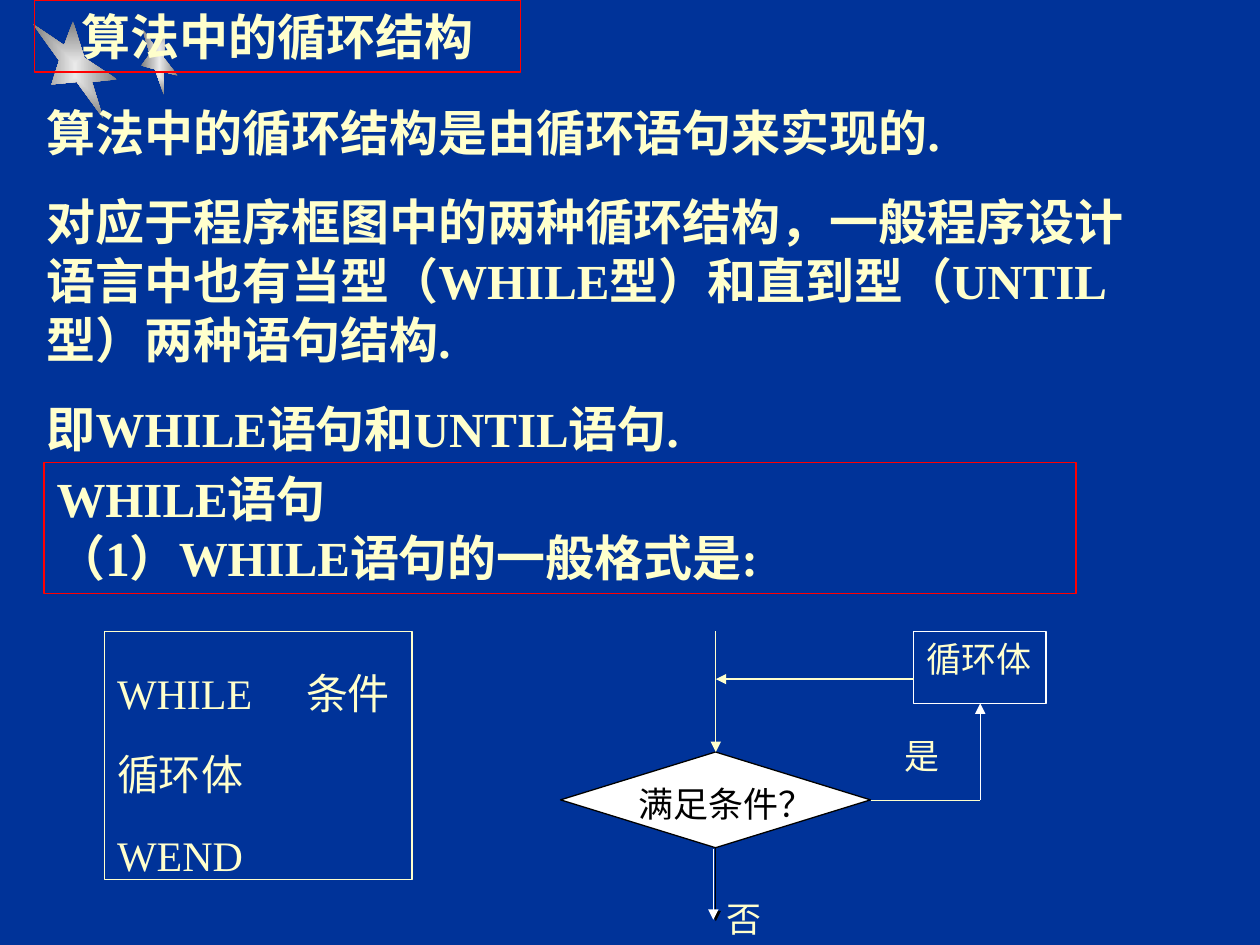
"""Build the slide on loop structures and the WHILE statement."""
from dataclasses import dataclass

import pptx
import pptx.dml.color
import pptx.enum.shapes
import pptx.enum.text
import pptx.oxml
import pptx.oxml.ns
import pptx.util
from pptx.util import Cm

RGBColor = pptx.dml.color.RGBColor
Align = pptx.enum.text.PP_ALIGN
Preset = pptx.enum.shapes.MSO_SHAPE

NAVY = RGBColor(0x00, 0x33, 0x99)
CREAM = RGBColor(0xFF, 0xFF, 0xCC)
RED = RGBColor(0xFF, 0x00, 0x00)
WHITE = RGBColor(0xFF, 0xFF, 0xFF)
BLACK = RGBColor(0x00, 0x00, 0x00)
STAR_LIGHT = RGBColor(0xEA, 0xEA, 0xEA)
STAR_DARK = RGBColor(0x80, 0x80, 0x80)
FONT = "Times New Roman"
STAR_UNIT = Cm(0.0254)
DRAWING_NS = 'xmlns:a="http://schemas.openxmlformats.org/drawingml/2006/main"'

FLOW_TOP = 12.73
FLOW_X = 14.43
DIAMOND_TOP, DIAMOND_BOTTOM = 15.16, 17.09
DIAMOND_MIDDLE, DIAMOND_RIGHT = 16.13, 17.55
LOOP_LEFT, LOOP_MIDDLE, LOOP_BOTTOM = 18.42, 19.76, 14.18
RETURN_Y = 13.69


@dataclass(frozen=True)
class Area:
    left: float
    top: float
    width: float
    height: float

    def lengths(self) -> tuple:
        return Cm(self.left), Cm(self.top), Cm(self.width), Cm(self.height)


@dataclass(frozen=True)
class Style:
    size: int
    color: RGBColor = CREAM
    bold: bool = False
    align: Align = Align.LEFT
    line_spacing: float = 1.0
    gap: float = 0


@dataclass(frozen=True)
class Label:
    area: Area
    text: str
    style: Style


@dataclass(frozen=True)
class Box(Label):
    border: RGBColor


@dataclass(frozen=True)
class Flow:
    start: tuple[float, float]
    end: tuple[float, float]
    color: RGBColor = CREAM
    arrow: bool = True


HEADING = Style(28, bold=True)
SMALL = Style(20, align=Align.JUSTIFY)

STARS = [
    [(130, 75), (123, 55), (112, 52), (119, 43), (113, 23),
     (123, 37), (131, 28), (130, 46), (141, 60), (130, 57)],
    [(82, 94), (61, 65), (41, 67), (47, 48), (26, 19),
     (51, 36), (58, 17), (67, 46), (93, 63), (73, 65)],
]
BOXES = [
    Box(Area(0.89, 9.32, 20.8, 2.64), "WHILE语句\n（1）WHILE语句的一般格式是:", HEADING, RED),
    Box(Area(2.11, FLOW_TOP, 6.2, 5), "WHILE\t条件\n循环体\nWEND",
        Style(24, align=Align.JUSTIFY, line_spacing=1.6), CREAM),
    Box(Area(LOOP_LEFT, FLOW_TOP, 2.67, 1.45), "循环体", SMALL, WHITE),
]
LABELS = [
    Label(Area(12.62, 15.65, 4.55, 1.12), "满足条件？", Style(20, BLACK, align=Align.JUSTIFY)),
    Label(Area(14.4, 17.96, 1.78, 1.09), "否", SMALL),
    Label(Area(17.98, 14.68, 1.78, 1.12), "是", SMALL),
]
FLOWS = [
    Flow((FLOW_X, FLOW_TOP), (FLOW_X, DIAMOND_TOP)),
    Flow((FLOW_X, DIAMOND_BOTTOM), (FLOW_X, 18.57), BLACK),
    Flow((DIAMOND_RIGHT, DIAMOND_MIDDLE), (LOOP_MIDDLE, DIAMOND_MIDDLE), arrow=False),
    Flow((LOOP_MIDDLE, DIAMOND_MIDDLE), (LOOP_MIDDLE, LOOP_BOTTOM), WHITE),
    Flow((LOOP_LEFT, RETURN_Y), (FLOW_X, RETURN_Y)),
    Flow((14.38, 17.12), (14.38, 18.54), WHITE),
]


def write(shape, text: str, style: Style) -> None:
    frame = shape.text_frame
    frame.text = text
    frame.word_wrap = True
    frame.auto_size = pptx.enum.text.MSO_AUTO_SIZE.NONE
    frame.vertical_anchor = pptx.enum.text.MSO_ANCHOR.TOP
    for index, paragraph in enumerate(frame.paragraphs):
        properties = paragraph._p.get_or_add_pPr()
        properties.set("marL", "0")
        properties.set("indent", "0")
        properties.append(pptx.oxml.parse_xml(f"<a:buNone {DRAWING_NS}/>"))
        if "\t" in paragraph.text:
            properties.append(pptx.oxml.parse_xml(
                f'<a:tabLst {DRAWING_NS}><a:tab pos="{Cm(3.33)}" algn="l"/></a:tabLst>'))
        paragraph.alignment = style.align
        paragraph.line_spacing = style.line_spacing
        paragraph.space_before = pptx.util.Pt(style.gap if index else 0)
        for run in paragraph.runs:
            run.font.name = FONT
            run.font.size = pptx.util.Pt(style.size)
            run.font.bold = style.bold
            run.font.color.rgb = style.color


def outline(shape, color: RGBColor) -> None:
    shape.line.color.rgb = color
    shape.line.width = pptx.util.Pt(0.75)


def place(placeholder, label: Label) -> None:
    (placeholder.left, placeholder.top,
     placeholder.width, placeholder.height) = label.area.lengths()
    write(placeholder, label.text, label.style)


def draw_star(slide, points: list[tuple[int, int]]) -> None:
    builder = slide.shapes.build_freeform(*points[0], scale=STAR_UNIT)
    builder.add_line_segments(points[1:], close=True)
    star = builder.convert_to_shape()
    star.shadow.inherit = False
    star.line.fill.background()
    star.fill.gradient()
    for stop, color in zip(star.fill.gradient_stops, (STAR_LIGHT, STAR_DARK)):
        stop.color.rgb = color
    linear = star._element.spPr.find(".//" + pptx.oxml.ns.qn("a:lin"))
    linear.getparent().replace(linear, pptx.oxml.parse_xml(
        f'<a:path {DRAWING_NS} path="rect">'
        '<a:fillToRect l="50000" t="50000" r="50000" b="50000"/></a:path>'))
    slide.shapes._spTree.insert(2, star._element)


def draw_box(slide, box: Box) -> None:
    shape = slide.shapes.add_shape(Preset.RECTANGLE, *box.area.lengths())
    shape.shadow.inherit = False
    shape.fill.background()
    outline(shape, box.border)
    write(shape, box.text, box.style)


def draw_flow(slide, flow: Flow) -> None:
    connector = slide.shapes.add_connector(
        pptx.enum.shapes.MSO_CONNECTOR.STRAIGHT,
        *map(Cm, flow.start), *map(Cm, flow.end))
    outline(connector, flow.color)
    if flow.arrow:
        connector.line._get_or_add_ln().append(
            pptx.oxml.parse_xml(f'<a:tailEnd {DRAWING_NS} type="triangle"/>'))
    connector._element.spPr.append(pptx.oxml.parse_xml(f"<a:effectLst {DRAWING_NS}/>"))


def main() -> None:
    deck = pptx.Presentation()
    deck.slide_width, deck.slide_height = Cm(25.4), Cm(19.05)
    slide = deck.slides.add_slide(deck.slide_layouts[1])
    slide.background.fill.solid()
    slide.background.fill.fore_color.rgb = NAVY

    title = slide.shapes.title
    place(title, Label(Area(0.69, 0, 9.8, 1.45), "算法中的循环结构",
                       Style(28, bold=True, align=Align.CENTER)))
    outline(title, RED)
    place(slide.placeholders[1], Label(
        Area(0.69, 1.93, 22.81, 7.42),
        "算法中的循环结构是由循环语句来实现的.\n"
        "对应于程序框图中的两种循环结构，一般程序设计语言中也有当型（WHILE型）"
        "和直到型（UNTIL型）两种语句结构.\n"
        "即WHILE语句和UNTIL语句.",
        Style(28, bold=True, gap=17.5)))

    for points in reversed(STARS):
        draw_star(slide, points)
    for box in BOXES:
        draw_box(slide, box)

    decision = slide.shapes.add_shape(
        Preset.DIAMOND, *Area(11.3, DIAMOND_TOP, 6.25, 1.93).lengths())
    decision.shadow.inherit = False
    decision.fill.solid()
    decision.fill.fore_color.rgb = WHITE
    outline(decision, BLACK)

    for flow in FLOWS:
        draw_flow(slide, flow)
    for label in LABELS:
        write(slide.shapes.add_textbox(*label.area.lengths()), label.text, label.style)
    deck.save("out.pptx")


if __name__ == "__main__":
    main()
